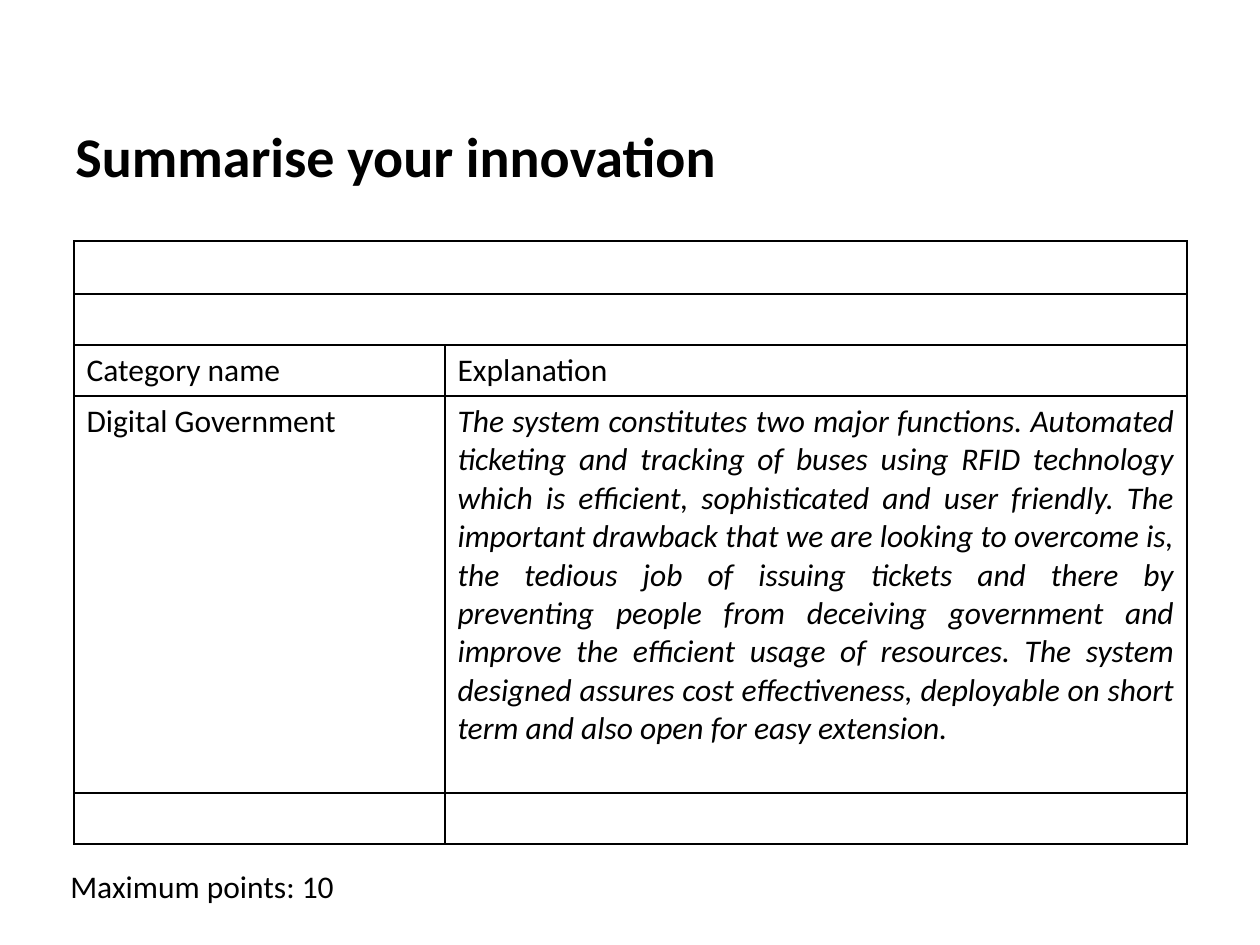
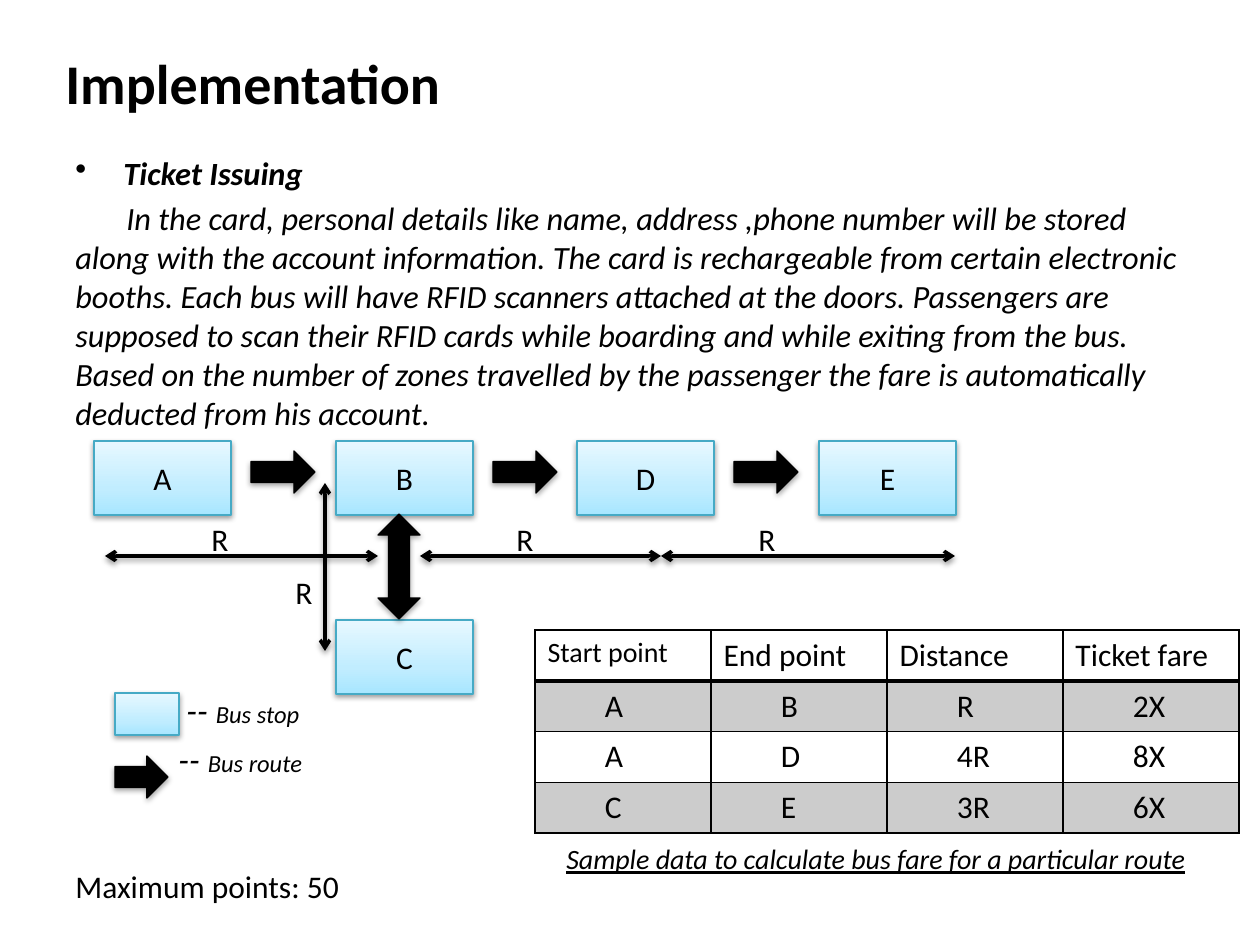
from copy import deepcopy
from pptx import Presentation
from pptx import util as u
from pptx.dml.color import RGBColor
from pptx.enum import shapes, text
from pptx.oxml import parse_xml
from pptx.oxml.ns import nsdecls, qn

SCALE = u.Inches(1) / 126
BLACK, GREY, TEAL = "000000", "CCCCCC", "46AAC5"
BLUES = [(0, "A7E6FF"), (0.35, "C1EDFF"), (1, "E7F8FF")]
KIND = shapes.MSO_SHAPE


def px(n):
    return u.Emu(round(n * SCALE))


def hue(code):
    return RGBColor.from_string(code)


def xml(tag, rest):
    return parse_xml(f"<a:{tag} {nsdecls('a')} {rest}")


def say(frame, words, size=18, bold=False, slant=False, under=False,
        align=None, gap=0, left=0, first=0, dot=None, more=False):
    para = frame.add_paragraph() if more else frame.paragraphs[0]
    para.alignment = align
    para.space_before = u.Pt(gap)
    props = para._p.get_or_add_pPr()
    props.set("marL", str(px(left)))
    props.set("indent", str(px(first)))
    if dot:
        props.append(xml("buChar", f'char="{dot}"/>'))
    runs = [(words, size)] if isinstance(words, str) else words
    for part, points in runs:
        run = para.add_run()
        run.text = part
        font = run.font
        font.name, font.size = "Calibri", u.Pt(points)
        font.bold, font.italic, font.underline = bold, slant, under
        font.color.rgb = hue(BLACK)


class Deck:
    def __init__(self):
        self.show = Presentation()
        self.show.slide_width, self.show.slide_height = px(1260), px(945)
        self.slide = None

    def page(self, title, x, y):
        self.slide = self.show.slides.add_slide(self.show.slide_layouts[6])
        say(self.box(x, y, 872, 80), title, size=32, bold=True)

    def foot(self, x, points):
        self.label(x, 861, 340, f"Maximum points: {points}")

    def box(self, x, y, w, h):
        frame = self.slide.shapes.add_textbox(px(x), px(y), px(w), px(h)).text_frame
        frame.word_wrap = True
        return frame

    def label(self, x, y, w, words, **style):
        say(self.box(x, y, w, 50), words, **style)

    def shade(self, item, alpha=38):
        props = item.element.spPr
        for old in props.findall(qn("a:effectLst")):
            props.remove(old)
        props.append(xml("effectLst", '><a:outerShdw blurRad="40000" dist="20000" '
                         'dir="5400000" rotWithShape="0"><a:srgbClr val="000000">'
                         f'<a:alpha val="{alpha}000"/></a:srgbClr></a:outerShdw></a:effectLst>'))

    def shape(self, kind, x, y, w, h, line):
        item = self.slide.shapes.add_shape(kind, px(x), px(y), px(w), px(h))
        item.shadow.inherit = False
        item.line.color.rgb = hue(line)
        item.line.width = u.Pt(0.75)
        return item

    def stop(self, x, y, w=137, h=74, name=None):
        item = self.shape(KIND.RECTANGLE, x, y, w, h, TEAL)
        item.fill.gradient()
        item.fill.gradient_angle = 90
        stops = item.element.spPr.find(".//" + qn("a:gsLst"))
        stops.insert(1, deepcopy(stops[0]))
        for mark, (place, code) in zip(item.fill.gradient_stops, BLUES):
            mark.position, mark.color.rgb = place, hue(code)
        self.shade(item)
        if name:
            item.text_frame.vertical_anchor = text.MSO_ANCHOR.MIDDLE
            say(item.text_frame, name, align=text.PP_ALIGN.CENTER)

    def arrow(self, x, y, w=64, h=42, kind=KIND.RIGHT_ARROW):
        item = self.shape(kind, x, y, w, h, BLACK)
        item.fill.solid()
        item.fill.fore_color.rgb = hue(BLACK)
        self.shade(item, 35)

    def span(self, x, y, to_x, to_y):
        item = self.slide.shapes.add_connector(
            shapes.MSO_CONNECTOR.STRAIGHT, px(x), px(y), px(to_x), px(to_y))
        item.line.color.rgb = hue(BLACK)
        item.line.width = u.Pt(2)
        line = item.element.spPr.find(qn("a:ln"))
        for end in ("headEnd", "tailEnd"):
            line.append(xml(end, 'type="arrow"/>'))
        self.shade(item)

    def table(self, x, y, cols, rows):
        grid = self.slide.shapes.add_table(
            len(rows), len(cols), px(x), px(y), px(sum(cols)), px(sum(rows))).table
        grid.first_row = grid.horz_banding = False
        for col, w in zip(grid.columns, cols):
            col.width = px(w)
        for row, h in zip(grid.rows, rows):
            row.height = px(h)
        for cell in grid.iter_cells():
            self.edge(cell)
            cell.fill.background()
        return grid

    def edge(self, cell, base=1):
        props = cell._tc.get_or_add_tcPr()
        for side in "LRTB":
            width = u.Pt(base if side == "B" else 1)
            props.append(xml(f"ln{side}", f'w="{width}"><a:solidFill><a:srgbClr val="{BLACK}"/>'
                             f'</a:solidFill></a:ln{side}>'))


def brief(deck):
    deck.page("Summarise your innovation", 63, 115)
    grid = deck.table(74, 241, [371, 742], [53, 51, 51, 397, 51])
    for row in range(2):
        grid.cell(row, 0).merge(grid.cell(row, 1))
    for col, head in enumerate(["Category name", "Explanation"]):
        say(grid.cell(2, col).text_frame, head)
    say(grid.cell(3, 0).text_frame, "Digital Government")
    say(grid.cell(3, 1).text_frame,
        "The system constitutes two major functions. Automated ticketing and tracking of "
        "buses using RFID technology which is efficient, sophisticated and user friendly. "
        "The important drawback that we are looking to overcome is, the tedious job of "
        "issuing tickets and there by preventing people from deceiving government and "
        "improve the efficient usage of resources. The system designed assures cost "
        "effectiveness, deployable on short term and also open for easy extension.",
        slant=True, align=text.PP_ALIGN.JUSTIFY)
    deck.foot(58, 10)


def fares(deck):
    rows = [["Start point", "End point", "Distance", "Ticket fare"],
            ["A", "B", "R", "2X"], ["A", "D", "4R", "8X"], ["C", "E", "3R", "6X"]]
    grid = deck.table(535, 630, [176] * 4, [51, 50, 51, 50])
    for r, row in enumerate(rows):
        for c, word in enumerate(row):
            cell = grid.cell(r, c)
            if r:
                cell.margin_left = px(70)
            else:
                cell._tc.tcPr.find(qn("a:lnB")).set("w", str(u.Pt(2)))
            if r % 2:
                cell.fill.solid()
                cell.fill.fore_color.rgb = hue(GREY)
            say(cell.text_frame, word, size=18 if r or c else 16)
    deck.label(554, 835, 660, "Sample data to calculate bus fare for a particular route",
               size=16, slant=True, under=True)


def route(deck):
    deck.page("Implementation", 53, 42)
    body = deck.box(63, 147, 1144, 300)
    say(body, "Ticket Issuing", size=18.5, bold=True, slant=True, left=48, first=-48, dot="•")
    say(body,
        "In the card, personal details like name, address ,phone number will be stored along "
        "with the account information. The card is rechargeable from certain electronic "
        "booths. Each bus will have RFID scanners attached at the doors. Passengers are "
        "supposed to scan their RFID cards while boarding and while exiting from the bus. "
        "Based on the number of zones travelled by the passenger the fare is automatically "
        "deducted from his account.",
        size=18.5, slant=True, gap=3.7, first=51, more=True)
    deck.foot(63, 50)
    for i, name in enumerate("ABDE"):
        x = (189 + 483 * i) // 2
        deck.stop(x, 441, name=name)
        if name != "E":
            deck.arrow(x + 157, 451)
    deck.stop(336, 620, name="C")
    for x, to_x in [(105, 378), (420, 661), (661, 955)]:
        deck.span(x, 556, to_x, 556)
    deck.span(325, 483, 325, 651)
    for x, y in [(199, 514), (504, 514), (746, 514), (283, 567)]:
        deck.label(x, y, 50, "R")
    fares(deck)
    deck.stop(115, 693, 64, 42)
    deck.arrow(115, 756, 53, 42)
    for x, y, name in [(174, 682, "Bus stop"), (166, 731, "Bus route")]:
        deck.label(x, y, 200, [("-- ", 20), (name, 14)], slant=True)
    deck.arrow(378, 514, 42, 105, KIND.UP_DOWN_ARROW)


def main():
    deck = Deck()
    brief(deck)
    route(deck)
    deck.show.save("out.pptx")


if __name__ == "__main__":
    main()
